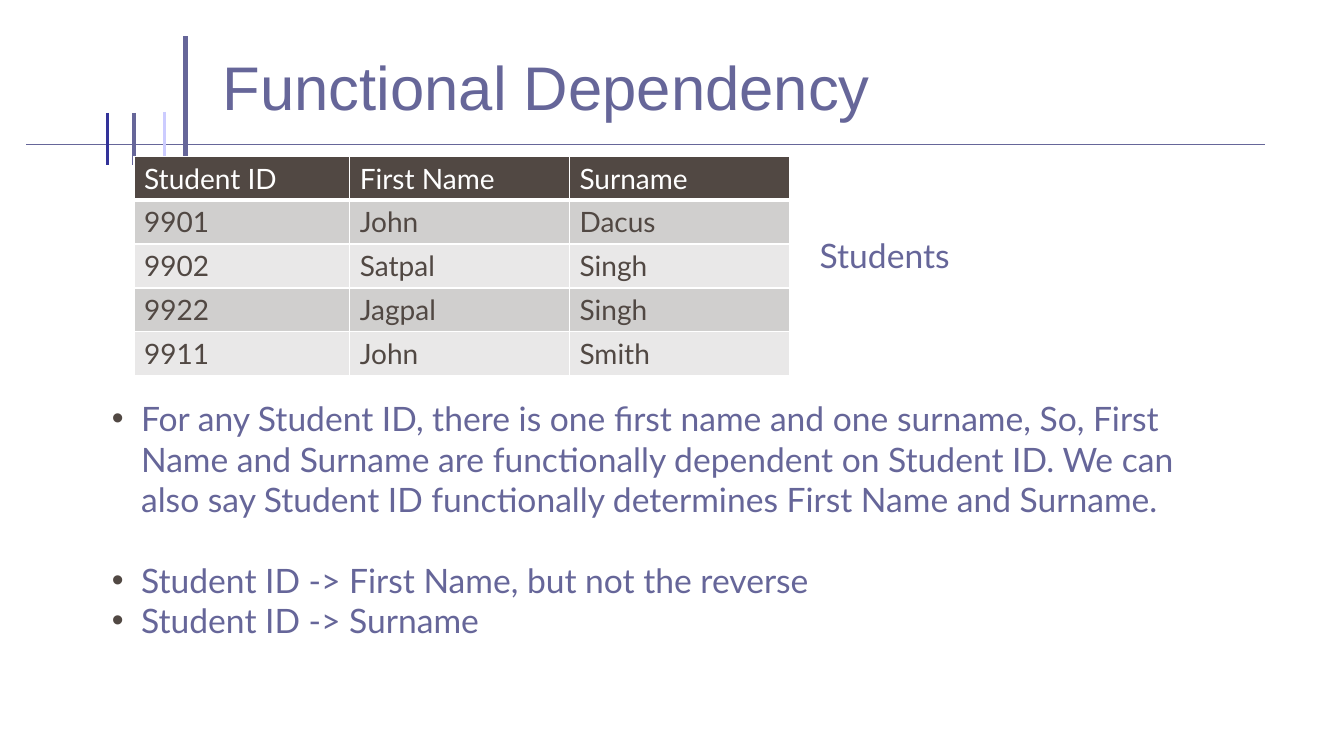
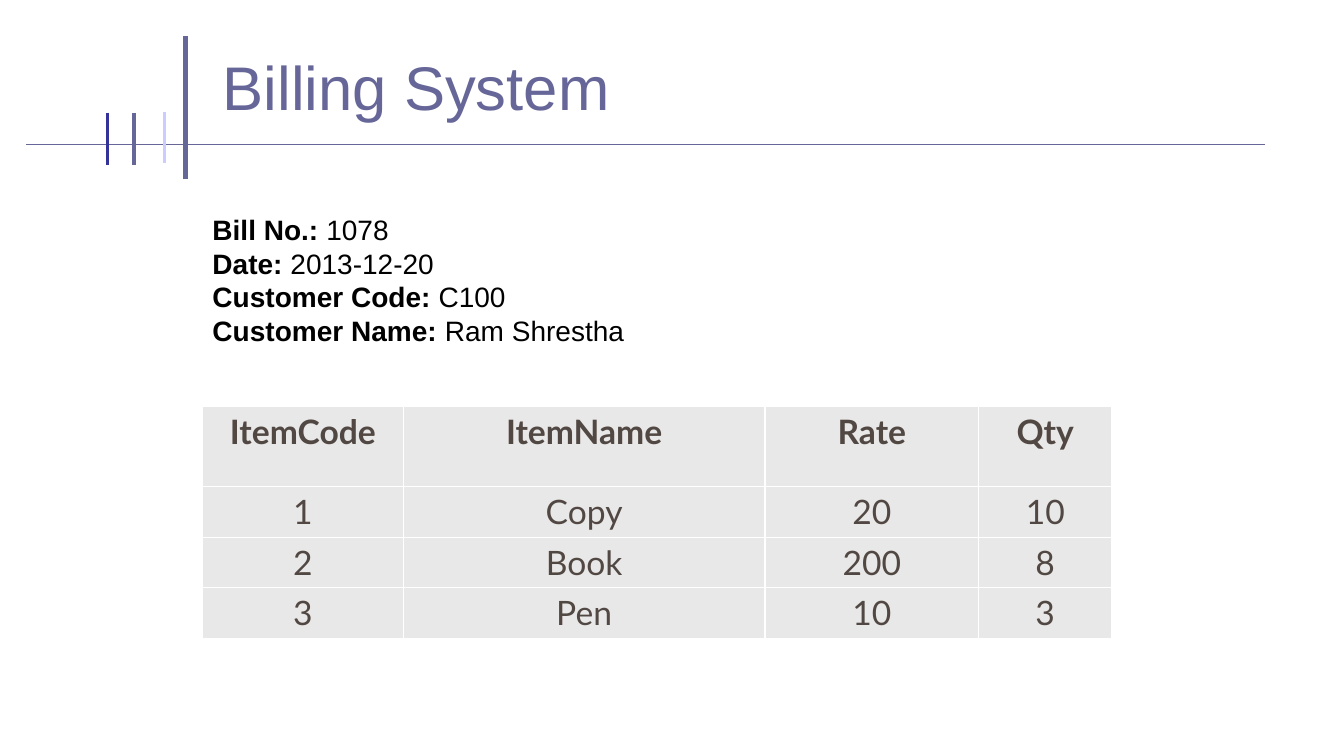
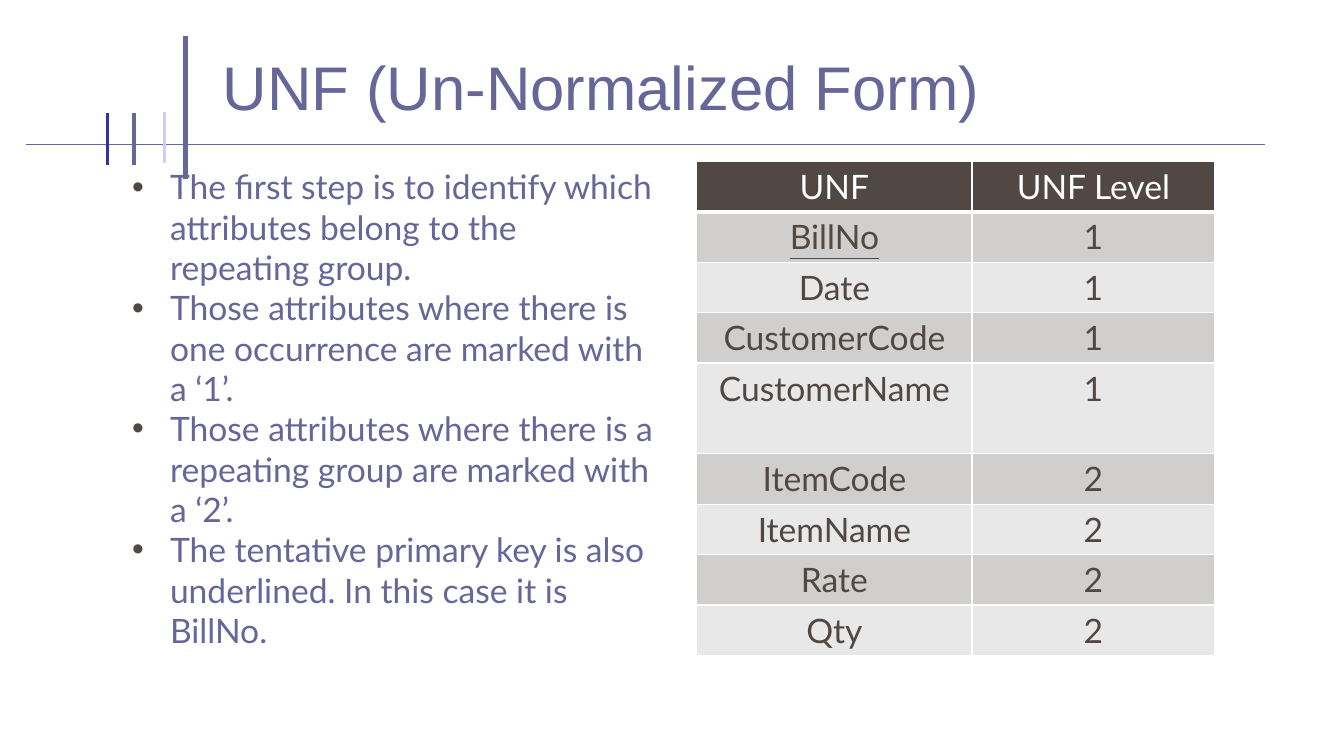
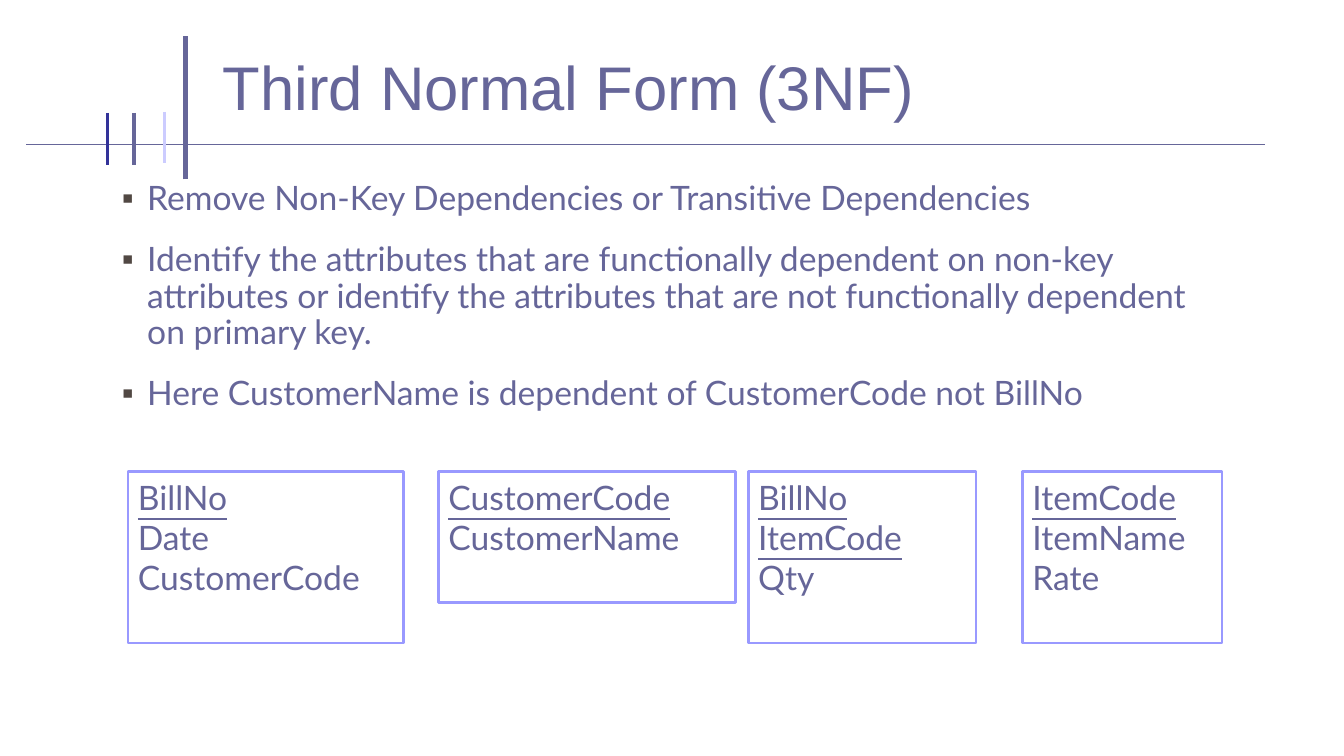
from dataclasses import dataclass
from typing import Any, Optional, Sequence

from lxml.etree import SubElement
from pptx import Presentation
from pptx.enum.shapes import MSO_CONNECTOR, MSO_SHAPE
from pptx.enum.text import MSO_ANCHOR, MSO_AUTO_SIZE, PP_ALIGN
from pptx.dml.color import RGBColor
from pptx.oxml.ns import qn
from pptx.util import Emu, Inches, Pt

WIDTH, HEIGHT = Inches(13.33), Inches(7.5)
COLUMNS, ROWS = 40, 30

SLATE, NAVY, LILAC, VIOLET = "666699", "333399", "CCCCFF", "9999FF"
BROWN, BAND, PALE, WHITE, BLACK = "514843", "D0CFCE", "E9E8E8", "FFFFFF", "000000"
TITLE_FONT, BODY_FONT = "Arial", "Lato"
THIN, THICK = 0.96, 3
PADDING = {"margin_left": Inches(0.1), "margin_right": Inches(0.1),
           "margin_top": Inches(0.05), "margin_bottom": Inches(0.05)}


@dataclass(frozen=True)
class Box:
    """A place on the grid, in columns and rows."""
    left: float
    top: float
    width: float
    height: float


@dataclass(frozen=True)
class Rule:
    """A decorative line from one grid point to another."""
    x1: float
    y1: float
    x2: float
    y2: float
    color: str
    weight: float


@dataclass(frozen=True)
class Run:
    """A piece of text with its emphasis."""
    text: str
    bold: bool = False
    underline: bool = False


@dataclass(frozen=True)
class Style:
    """Font and paragraph settings for a block of text."""
    size: float = 24
    color: str = SLATE
    font: str = BODY_FONT
    align: Any = PP_ALIGN.LEFT
    spacing: float = 1.0
    before: float = 0


@dataclass(frozen=True)
class Bullets:
    """Bullet sign and hanging indent in columns."""
    char: str
    indent: float


@dataclass(frozen=True)
class Grid:
    """A table with its column widths and row heights."""
    left: float
    top: float
    widths: Sequence[float]
    heights: Sequence[float]
    cells: Sequence[Sequence[Any]]
    style: Style
    padding: float = 0.1
    dark_header: bool = True


@dataclass(frozen=True)
class Relation:
    """A boxed relation; its first attributes form the key."""
    box: Box
    attributes: Sequence[str]
    keys: int = 1


RULES = (
    Rule(5.52, 7.12, 5.52, 1.44, SLATE, 3),
    Rule(0.78, 5.72, 37.66, 5.72, SLATE, 0.75),
    Rule(4.89, 4.44, 4.89, 6.48, LILAC, 2.25),
    Rule(3.99, 4.48, 3.99, 6.56, SLATE, 2.25),
    Rule(3.21, 4.48, 3.21, 6.56, NAVY, 2.25),
)
TITLE_BOX = Box(3.63, 0.32, 32.74, 4.8)
TITLE_STYLE = Style(size=44, font=TITLE_FONT, spacing=0.9)


def col(n: float) -> Emu:
    """Length of n grid columns."""
    return Emu(round(WIDTH * n / COLUMNS))


def row(n: float) -> Emu:
    """Length of n grid rows."""
    return Emu(round(HEIGHT * n / ROWS))


def place(box: Box) -> tuple:
    """Left, top, width and height of a box."""
    return col(box.left), row(box.top), col(box.width), row(box.height)


def apply(target: Any, values: dict) -> None:
    """Set every attribute named in values."""
    for name, value in values.items():
        setattr(target, name, value)


def paint(color: Any, hex_value: str) -> None:
    """Give a colour format its RGB value."""
    color.rgb = RGBColor.from_string(hex_value)


def fill(target: Any, hex_value: str) -> None:
    """Fill a shape or cell with one colour."""
    target.fill.solid()
    paint(target.fill.fore_color, hex_value)


def write(tf: Any, lines: Sequence[Any], style: Style) -> None:
    """Write lines, each a string, a Run or a sequence of Runs."""
    for i, line in enumerate(lines):
        p = tf.paragraphs[0] if i == 0 else tf.add_paragraph()
        apply(p, {"alignment": style.align, "line_spacing": style.spacing,
                  "space_before": Pt(style.before), "space_after": Pt(0)})
        runs = (Run(line),) if isinstance(line, str) else line
        for piece in (runs,) if isinstance(runs, Run) else runs:
            r = p.add_run()
            r.text = piece.text
            apply(r.font, {"name": style.font, "size": Pt(style.size),
                           "bold": piece.bold, "underline": piece.underline})
            paint(r.font.color, style.color)


def add_bullet(p: Any, bullets: Bullets) -> None:
    """Give a paragraph a bullet and a hanging indent."""
    pPr = p._p.get_or_add_pPr()
    pPr.set("marL", str(col(bullets.indent)))
    pPr.set("indent", str(-col(bullets.indent)))
    SubElement(SubElement(pPr, qn("a:buClr")), qn("a:srgbClr"), val=BROWN)
    SubElement(pPr, qn("a:buFont"), typeface="Arial")
    SubElement(pPr, qn("a:buChar"), char=bullets.char)


def frame(shape: Any, box: Box, **extra: Any) -> Any:
    """Move a placeholder and set up its text frame."""
    apply(shape, dict(zip(("left", "top", "width", "height"), place(box))))
    tf = shape.text_frame
    apply(tf, PADDING | {"word_wrap": True, "auto_size": MSO_AUTO_SIZE.NONE,
                         "vertical_anchor": MSO_ANCHOR.TOP} | extra)
    return tf


def add_slide(prs: Any, layout: int, title: str) -> Any:
    """Add a slide with the shared title style."""
    s = prs.slides.add_slide(prs.slide_layouts[layout])
    tf = frame(s.shapes.title, TITLE_BOX, margin_left=col(3), margin_right=0,
               vertical_anchor=MSO_ANCHOR.BOTTOM)
    write(tf, [title], TITLE_STYLE)
    return s


def add_rules(prs: Any, s: Any) -> None:
    """Draw the decorative lines and hand them to the slide master."""
    for number, rule in enumerate(RULES, start=101):
        line = s.shapes.add_connector(MSO_CONNECTOR.STRAIGHT, col(rule.x1), row(rule.y1),
                                      col(rule.x2), row(rule.y2))
        paint(line.line.color, rule.color)
        line.line.width = Pt(rule.weight)
        SubElement(line._element.spPr, qn("a:effectLst"))
        line._element.nvCxnSpPr.cNvPr.set("id", str(number))
        prs.slide_master.shapes._spTree.append(line._element)


def add_body(s: Any, box: Box, lines: Sequence[str], bullets: Bullets,
             style: Style = Style(), **extra: Any) -> Any:
    """Fill the body placeholder with a bulleted list."""
    tf = frame(s.placeholders[1], box, **extra)
    write(tf, lines, style)
    for p in tf.paragraphs:
        add_bullet(p, bullets)
    return tf


def add_text(s: Any, box: Box, lines: Sequence[Any], style: Style, wrap: bool = True) -> None:
    """Add a plain text box."""
    shape = s.shapes.add_textbox(*place(box))
    write(frame(shape, box, word_wrap=wrap), lines, style)


def add_borders(cell: Any, top: float, bottom: float) -> None:
    """Give a cell white borders."""
    tcPr = cell._tc.get_or_add_tcPr()
    for side, weight in (("L", THIN), ("R", THIN), ("T", top), ("B", bottom)):
        ln = SubElement(tcPr, qn(f"a:ln{side}"), w=str(Pt(weight)))
        SubElement(SubElement(ln, qn("a:solidFill")), qn("a:srgbClr"), val=WHITE)


def add_grid(s: Any, grid: Grid) -> None:
    """Add a table, banded below a dark header or evenly pale."""
    box = Box(grid.left, grid.top, sum(grid.widths), sum(grid.heights))
    table = s.shapes.add_table(len(grid.heights), len(grid.widths), *place(box)).table
    apply(table, {"first_row": False, "horz_banding": False})
    for column, width in zip(table.columns, grid.widths):
        column.width = col(width)
    for i, (line, height) in enumerate(zip(grid.cells, grid.heights)):
        table.rows[i].height = row(height)
        header = grid.dark_header and i == 0
        shade = BROWN if header else BAND if grid.dark_header and i % 2 else PALE
        style = Style(grid.style.size, WHITE if header else BROWN, align=grid.style.align)
        for j, content in enumerate(line):
            cell = table.cell(i, j)
            add_borders(cell, THICK if grid.dark_header and i == 1 else THIN,
                        THICK if header else THIN)
            fill(cell, shade)
            apply(cell, PADDING | {"margin_left": Inches(grid.padding),
                                   "margin_right": Inches(grid.padding)})
            write(cell.text_frame, [content], style)


def add_relation(s: Any, relation: Relation) -> None:
    """Draw a boxed relation with its key underlined."""
    shape = s.shapes.add_shape(MSO_SHAPE.RECTANGLE, *place(relation.box))
    shape.shadow.inherit = False
    fill(shape, WHITE)
    paint(shape.line.color, VIOLET)
    shape.line.width = Pt(2)
    lines = [Run(name, underline=i < relation.keys)
             for i, name in enumerate(relation.attributes)]
    write(frame(shape, relation.box), lines, Style())


def dependency_slide(prs: Any) -> None:
    """Functional dependency with a student table."""
    s = add_slide(prs, 1, "Functional Dependency")
    add_rules(prs, s)
    students = (
        ("Student ID", "First Name", "Surname"),
        ("9901", "John", "Dacus"),
        ("9902", "Satpal", "Singh"),
        ("9922", "Jagpal", "Singh"),
        ("9911", "John", "Smith"),
    )
    add_grid(s, Grid(3.99, 6.2, (6.42, 6.54, 6.54), [1.74] * 5, students, Style(size=20)))
    add_text(s, Box(24.1, 9.12, 5.37, 2), ["Students"], Style(), wrap=False)
    tf = add_body(s, Box(3.03, 15.6, 32.74, 11.6), (
        "For any Student ID, there is one first name and one surname, So, First Name and "
        "Surname are functionally dependent on Student ID. We can also say Student ID "
        "functionally determines First Name and Surname.",
        "Student ID -> First Name, but not the reverse",
        "Student ID -> Surname",
    ), Bullets("•", 0.87))
    tf.paragraphs[1].space_before = Pt(28.8)


def billing_slide(prs: Any) -> None:
    """Bill header and its items."""
    s = add_slide(prs, 5, "Billing System")
    bill = (("Bill No.: ", "1078"), ("Date: ", "2013-12-20"),
            ("Customer Code: ", "C100"), ("Customer Name: ", "Ram Shrestha"))
    add_text(s, Box(6.03, 8.24, 20.02, 5.72),
             [(Run(label, bold=True), Run(value)) for label, value in bill],
             Style(20, BLACK, TITLE_FONT))
    items = (
        [Run(name, bold=True) for name in ("ItemCode", "ItemName", "Rate", "Qty")],
        ("1", "Copy", "20", "10"),
        ("2", "Book", "200", "8"),
        ("3", "Pen", "10", "3"),
    )
    add_grid(s, Grid(6.03, 16.12, (5.97, 10.77, 6.36, 3.96), (3.2, 2, 2, 2), items,
                     Style(align=PP_ALIGN.CENTER), padding=0.07, dark_header=False))


def unf_slide(prs: Any) -> None:
    """Un-normalized form with attribute levels."""
    s = add_slide(prs, 1, "UNF (Un-Normalized Form)")
    add_body(s, Box(3.63, 6.4, 16.41, 19.6), (
        "The first step is to identify which attributes belong to the repeating group.",
        "Those attributes where there is one occurrence are marked with a ‘1’.",
        "Those attributes where there is a repeating group are marked with a ‘2’.",
        "The tentative primary key is also underlined. In this case it is BillNo.",
    ), Bullets("•", 1.13))
    levels = (
        ("UNF", "UNF Level"),
        (Run("BillNo", underline=True), "1"),
        ("Date", "1"),
        ("CustomerCode", "1"),
        ("CustomerName", "1"),
        ("ItemCode", "2"),
        ("ItemName", "2"),
        ("Rate", "2"),
        ("Qty", "2"),
    )
    heights = [3.6 if name == "CustomerName" else 2 for name, _ in levels]
    add_grid(s, Grid(20.74, 6.4, (8.19, 7.23), heights, levels,
                     Style(align=PP_ALIGN.CENTER)))


def third_form_slide(prs: Any) -> None:
    """Third normal form and the resulting relations."""
    s = add_slide(prs, 1, "Third Normal Form (3NF)")
    add_body(s, Box(3.63, 7, 32.77, 20), (
        "Remove Non-Key Dependencies or Transitive Dependencies",
        "Identify the attributes that are functionally dependent on non-key attributes or "
        "identify the attributes that are not functionally dependent on primary key.",
        "Here CustomerName is dependent of CustomerCode not BillNo",
    ), Bullets("▪", 0.75), Style(spacing=0.9, before=18), margin_left=0, margin_right=0)
    top = 18.72
    for relation in (
        Relation(Box(3.81, top, 8.19, 6.8), ("BillNo", "Date", "CustomerCode")),
        Relation(Box(13.05, top, 8.85, 5.2), ("CustomerCode", "CustomerName")),
        Relation(Box(22.27, top, 6.78, 6.8), ("BillNo", "ItemCode", "Qty"), keys=2),
        Relation(Box(30.43, top, 5.94, 6.8), ("ItemCode", "ItemName", "Rate")),
    ):
        add_relation(s, relation)


def main() -> None:
    """Build and save the presentation."""
    prs = Presentation()
    apply(prs, {"slide_width": WIDTH, "slide_height": HEIGHT})
    for build in (dependency_slide, billing_slide, unf_slide, third_form_slide):
        build(prs)
    prs.save("out.pptx")


main()
